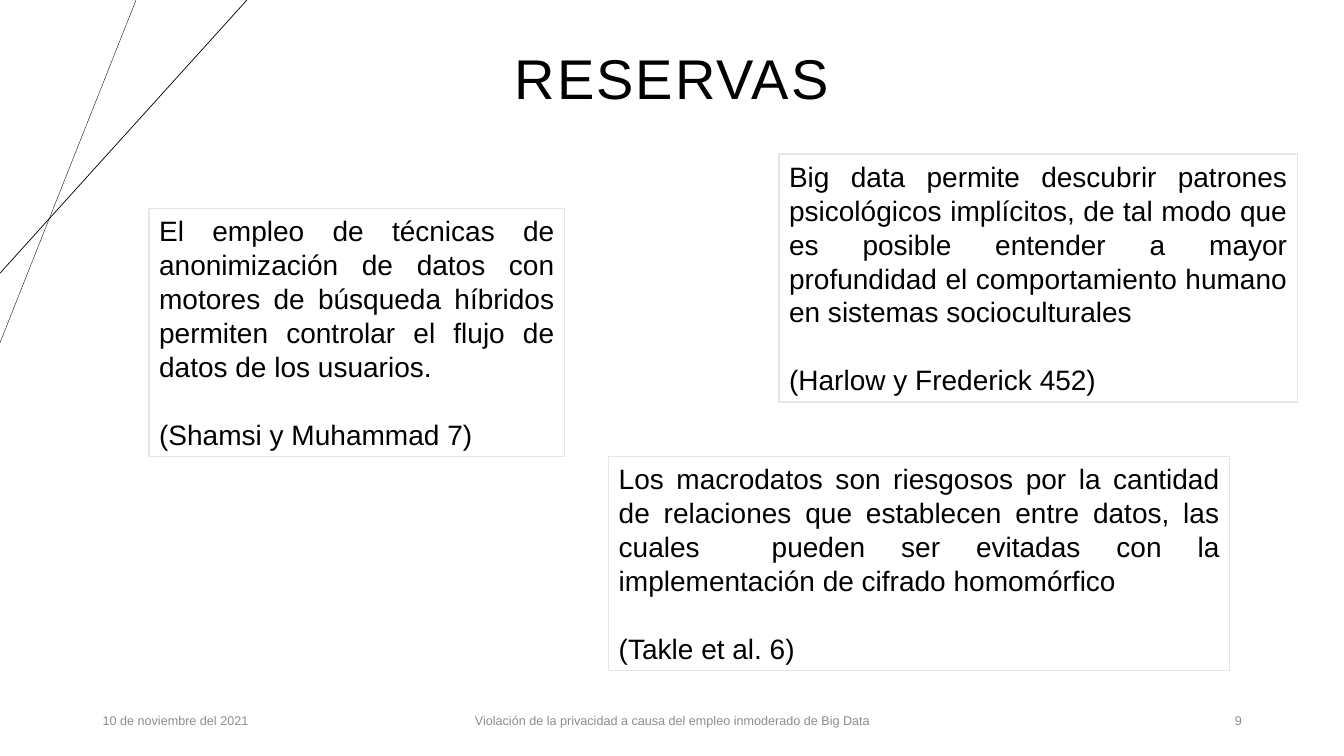
from lxml import etree
from pptx import Presentation
from pptx.dml.color import RGBColor
from pptx.enum.shapes import MSO_CONNECTOR, MSO_SHAPE
from pptx.enum.text import MSO_ANCHOR, MSO_AUTO_SIZE, PP_ALIGN
from pptx.oxml.ns import qn
from pptx.util import Pt

LEFT, MID, RIGHT, FULL = (PP_ALIGN.LEFT, PP_ALIGN.CENTER,
                          PP_ALIGN.RIGHT, PP_ALIGN.JUSTIFY)
TOP, CENTER = MSO_ANCHOR.TOP, MSO_ANCHOR.MIDDLE
NO_FIT = MSO_AUTO_SIZE.NONE
RECT, LINE = MSO_SHAPE.RECTANGLE, MSO_CONNECTOR.STRAIGHT

BLACK, WHITE, GRAY, SAND = "000000", "FFFFFF", "8C8C8C", "E9E6DF"
PITCH = Pt(24.2)

# Text and box (left, top, width, height) of each card
CARDS = [
    ("El empleo de técnicas de anonimización de datos con motores de búsqueda "
     "híbridos permiten controlar el flujo de datos de los usuarios.",
     "(Shamsi y Muhammad 7)", (106.56, 149.04, 296.64, 177.12)),
    ("Los macrodatos son riesgosos por la cantidad de relaciones que "
     "establecen entre datos, las cuales  pueden ser evitadas con la "
     "implementación de cifrado homomórfico",
     "(Takle et al. 6)", (434.88, 326.16, 443.52, 152.64)),
    ("Big data permite descubrir patrones psicológicos implícitos, de tal "
     "modo que es posible entender a mayor profundidad el comportamiento "
     "humano en sistemas socioculturales",
     "(Harlow y Frederick 452)", (556.56, 110.16, 370.08, 177.12)),
]


def paint(color, code):
    color.rgb = RGBColor.from_string(code)


def apply(item, values):
    for name, value in values.items():
        setattr(item, name, value)


def place(shape, box):
    apply(shape, dict(zip(("left", "top", "width", "height"), map(Pt, box))))


def write(para, text, size, code, **form):
    run = para.add_run()
    run.text = text
    apply(run.font, {"name": "Arial", "size": Pt(size)})
    paint(run.font.color, code)
    apply(para, form)
    return run


def add_rays(slide, x, y):
    """Two thin lines that cross in the corner at x, y."""
    for wide, tall, weight in ((97.2, 244.8, 0.25), (176.4, 195.12, 0.5)):
        ray = slide.shapes.add_connector(
            LINE, Pt(x + wide), Pt(y), Pt(x), Pt(y + tall))
        ray.line.width = Pt(weight)
        paint(ray.line.color, BLACK)
        etree.SubElement(ray._element.spPr, qn("a:effectLst"))


def add_title(slide, text, box):
    title = slide.shapes.title
    place(title, box)
    frame = title.text_frame
    apply(frame, {"vertical_anchor": CENTER, "word_wrap": True,
                  "auto_size": NO_FIT})
    run = write(frame.paragraphs[0], text, 40, BLACK,
                alignment=MID, line_spacing=0.9)
    run._r.get_or_add_rPr().set("spc", "150")


def add_footer(slide, box):
    """Date, subject and page number across the box."""
    x, y, width, height = box
    side, core = 216, 324
    parts = [
        ("10 de noviembre del 2021", x, side, LEFT),
        ("Violación de la privacidad a causa del empleo inmoderado de Big Data",
         x + (width - core) / 2, core, MID),
        ("9", x + width - side, side, RIGHT),
    ]
    for text, left, wide, align in parts:
        note = slide.shapes.add_textbox(Pt(left), Pt(y), Pt(wide), Pt(height))
        frame = note.text_frame
        apply(frame, {"vertical_anchor": CENTER, "word_wrap": True})
        write(frame.paragraphs[0], text, 9, GRAY, alignment=align)


def add_card(slide, claim, cite, box):
    """Framed claim with its citation below."""
    card = slide.shapes.add_shape(RECT, *map(Pt, box))
    card.shadow.inherit = False
    card.fill.solid()
    paint(card.fill.fore_color, WHITE)
    paint(card.line.color, SAND)
    card.line.width = Pt(1)
    frame = card.text_frame
    apply(frame, {"vertical_anchor": TOP, "word_wrap": True})
    form = {"alignment": FULL, "line_spacing": PITCH}
    write(frame.paragraphs[0], claim, 20, BLACK, **form)
    write(frame.add_paragraph(), cite, 20, BLACK, space_before=PITCH, **form)


def main():
    deck = Presentation()
    apply(deck, {"slide_width": Pt(960), "slide_height": Pt(540)})
    slide = deck.slides.add_slide(deck.slide_layouts[5])
    add_rays(slide, 0, 0)
    add_title(slide, "RESERVAS", (148.32, 5.76, 663.12, 104.4))
    add_footer(slide, (66.24, 500.4, 828, 28.8))
    for claim, cite, box in CARDS:
        add_card(slide, claim, cite, box)
    deck.save("out.pptx")


if __name__ == "__main__":
    main()
